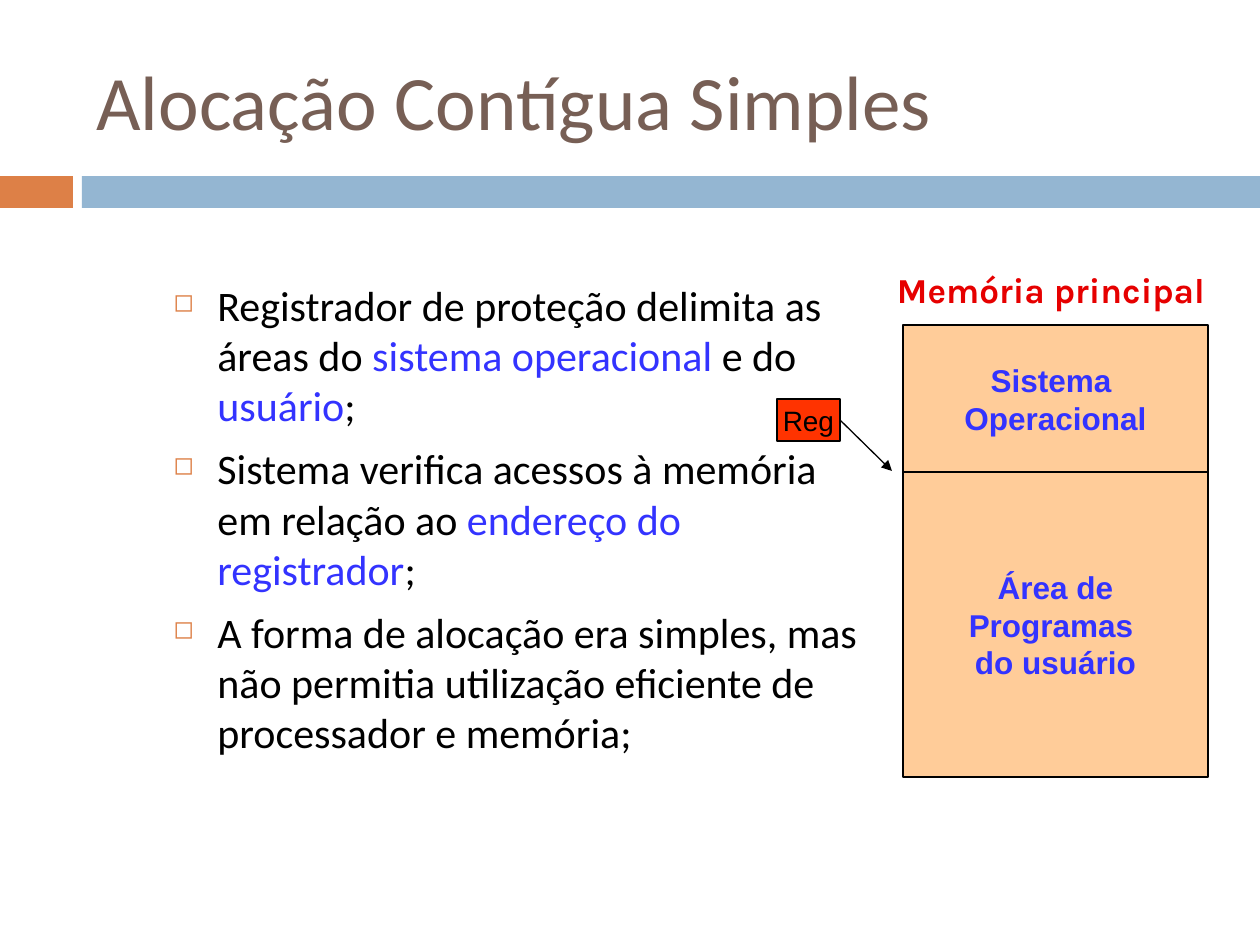
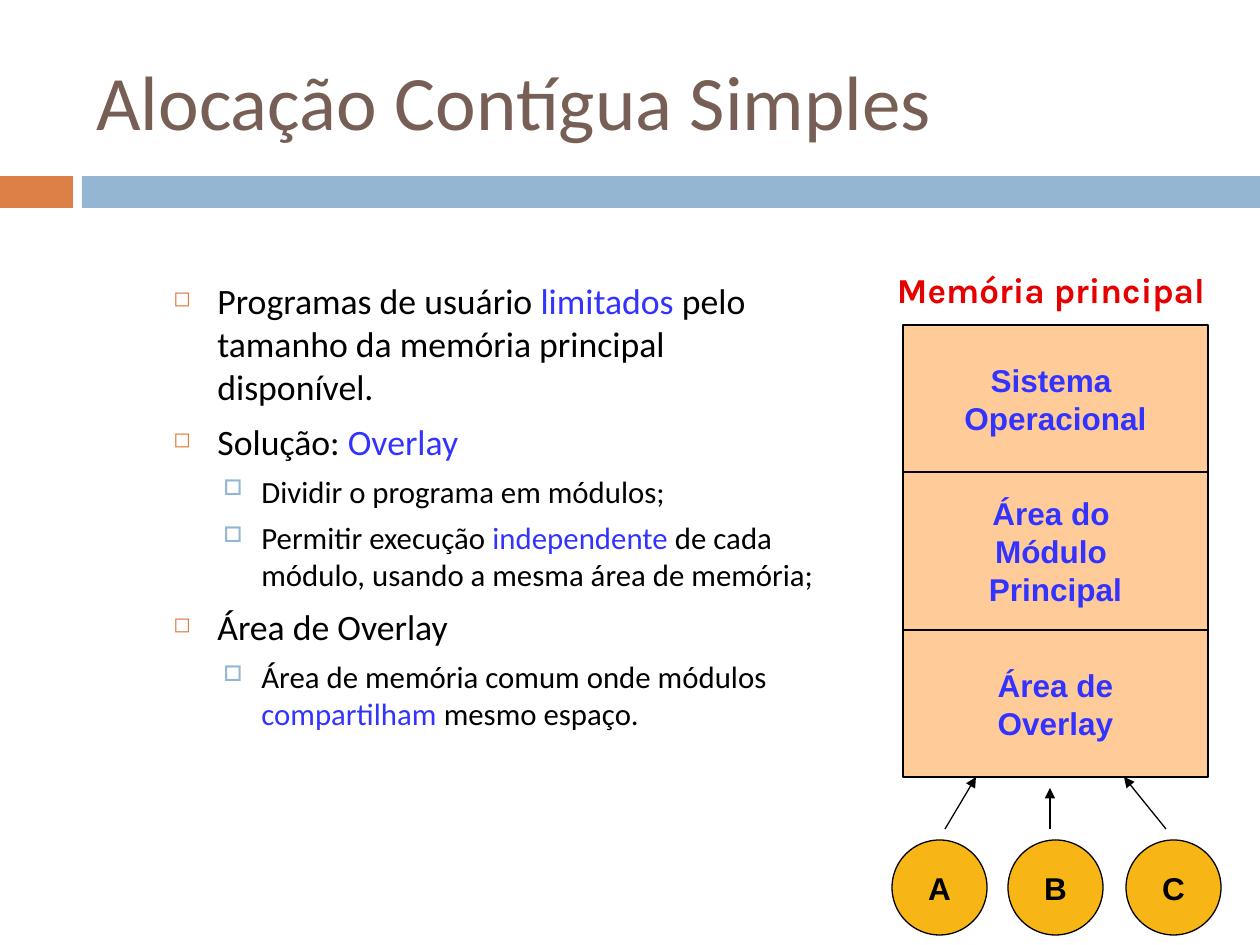
from dataclasses import dataclass
from lxml import etree
from pptx import Presentation, util as u
from pptx.dml.color import RGBColor
from pptx.enum import shapes, text
from pptx.oxml.ns import qn

PX = 914400 / 126
RECT = shapes.MSO_SHAPE.RECTANGLE
OVAL = shapes.MSO_SHAPE.OVAL
MID = text.MSO_ANCHOR.MIDDLE
TOP = text.MSO_ANCHOR.TOP


@dataclass(frozen=True)
class Theme:
    body: str = "Calibri"
    label: str = "Arial"
    head: str = "Karla"
    orange: str = "DD8047"
    blue: str = "94B6D2"
    brown: str = "775F55"
    black: str = "000000"
    white: str = "FFFFFF"
    key: str = "3333FF"
    red: str = "E60000"
    peach: str = "FFCC99"
    alert: str = "FF3300"
    gold: str = "F7B615"
    title_size: float = 44
    head_size: float = 20
    label_size: float = 18
    reg_size: float = 16
    edge: float = 0.75


T = Theme()

# Per level: left margin, hanging indent, space before, bullet, colour, percent
LEVELS = (
    (44, 44, 7, "◻", T.orange, 60),
    (88, 38, 5.5, "□", T.blue, 70),
)


def px(*nums):
    return [u.Emu(round(n * PX)) for n in nums]


def rgb(code):
    return RGBColor.from_string(code)


def style(para, name, size, color, bold=False):
    font = para.font
    font.name, font.size, font.bold = name, u.Pt(size), bold
    font.color.rgb = rgb(color)


def block(slide, kind, box, fill, edge=False):
    shape = slide.shapes.add_shape(kind, *px(*box))
    shape.shadow.inherit = False
    shape.fill.solid()
    shape.fill.fore_color.rgb = rgb(fill)
    if edge:
        shape.line.color.rgb = rgb(T.black)
        shape.line.width = u.Pt(T.edge)
    else:
        shape.line.fill.background()
    return shape


def label(shape, words, name, size, color, bold=True, anchor=MID, wrap=False):
    frame = shape.text_frame
    frame.word_wrap, frame.vertical_anchor = wrap, anchor
    para = frame.paragraphs[0]
    para.text = words
    para.alignment = text.PP_ALIGN.CENTER
    style(para, name, size, color, bold)


def arrow(slide, start, end):
    line = slide.shapes.add_connector(
        shapes.MSO_CONNECTOR.STRAIGHT, *px(*start, *end))
    line.line.color.rgb = rgb(T.black)
    line.line.width = u.Pt(T.edge)
    etree.SubElement(line.line._get_or_add_ln(), qn("a:tailEnd"), type="triangle")
    etree.SubElement(line._element.spPr, qn("a:effectLst"))


def base(deck, title):
    """Add a blank slide with the title and the two bands."""
    slide = deck.slides.add_slide(deck.slide_layouts[6])
    block(slide, RECT, (0, 176, 73, 32), T.orange)
    block(slide, RECT, (82, 176, 1178, 32), T.blue)
    frame = slide.shapes.add_textbox(*px(84, 32, 1124, 136)).text_frame
    frame.word_wrap, frame.vertical_anchor = True, MID
    para = frame.paragraphs[0]
    para.text = title
    style(para, T.body, T.title_size, T.brown)
    return slide


def bullet(para, level):
    left, hang, _, char, color, size = LEVELS[level]
    props = para._p.get_or_add_pPr()
    props.set("marL", str(px(left)[0]))
    props.set("indent", str(-px(hang)[0]))
    tint = etree.SubElement(props, qn("a:buClr"))
    etree.SubElement(tint, qn("a:srgbClr"), val=color)
    etree.SubElement(props, qn("a:buSzPct"), val=str(size * 1000))
    etree.SubElement(props, qn("a:buChar"), char=char)


def points(slide, box, sizes, items):
    """Write (level, words) items; words between asterisks are highlighted."""
    frame = slide.shapes.add_textbox(*px(*box)).text_frame
    frame.word_wrap = True
    for i, (level, words) in enumerate(items):
        para = frame.add_paragraph() if i else frame.paragraphs[0]
        para.level = level
        bullet(para, level)
        para.space_before = u.Pt(LEVELS[level][2] if i else 0)
        style(para, T.body, sizes[level], T.black)
        for j, part in enumerate(words.split("*")):
            if part:
                run = para.add_run()
                run.text = part
                if j % 2:
                    run.font.color.rgb = rgb(T.key)


def memory(slide, box, areas):
    """Stack (height, words) areas below the heading."""
    x, y, w = box
    head = block(slide, RECT, (x - 31, y - 63, w + 62, 54), T.white)
    label(head, "Memória principal ", T.head, T.head_size, T.red,
          anchor=TOP, wrap=True)
    for h, words in areas:
        area = block(slide, RECT, (x, y, w, h), T.peach, edge=True)
        label(area, words, T.label, T.label_size, T.key)
        y += h


def register(slide, box):
    x, y, w, h = box
    reg = block(slide, RECT, box, T.alert, edge=True)
    label(reg, "Reg", T.label, T.reg_size, T.black, bold=False)
    arrow(slide, (x + w, y + h // 2), (x + w + 52, y + h + 30))


def modules(slide, x, y):
    """Draw the modules and the arrows up to the overlay area."""
    for name, left in zip("ABC", (0, 116, 234)):
        disc = block(slide, OVAL, (x + left, y + 63, 95, 95), T.gold, edge=True)
        label(disc, name, T.label, T.label_size, T.black)
    for foot, tip, drop in ((53, 84, 0), (158, 158, 11), (274, 232, 0)):
        arrow(slide, (x + foot, y + 52), (x + tip, y + drop))


def main():
    deck = Presentation()
    deck.slide_width, deck.slide_height = px(1260, 945)
    title = "Alocação Contígua Simples"
    stack = (903, 325, 305)
    system = (147, "Sistema \vOperacional")

    slide = base(deck, title)
    points(slide, (161, 273, 721, 567), (24,), (
        (0, "Registrador de proteção delimita as áreas do "
            "*sistema operacional* e do *usuário*;"),
        (0, "Sistema verifica acessos à memória em relação ao "
            "*endereço do registrador*;"),
        (0, "A forma de alocação era simples, mas não permitia "
            "utilização eficiente de processador e memória;"),
    ))
    memory(slide, stack, (system, (305, "Área de\vProgramas \vdo usuário")))
    register(slide, (777, 399, 63, 42))

    slide = base(deck, title)
    points(slide, (161, 273, 678, 567), (20.4, 17.6), (
        (0, "Programas de usuário *limitados* pelo tamanho da "
            "memória principal disponível."),
        (0, "Solução: *Overlay*"),
        (1, "Dividir o programa em módulos;"),
        (1, "Permitir execução *independente* de cada módulo, "
            "usando a mesma área de memória;"),
        (0, "Área de Overlay"),
        (1, "Área de memória comum onde módulos *compartilham* "
            "mesmo espaço."),
    ))
    memory(slide, stack, (system, (158, "Área do \vMódulo \vPrincipal"),
                          (147, "Área de\vOverlay")))
    modules(slide, 892, 777)
    deck.save("out.pptx")


if __name__ == "__main__":
    main()
